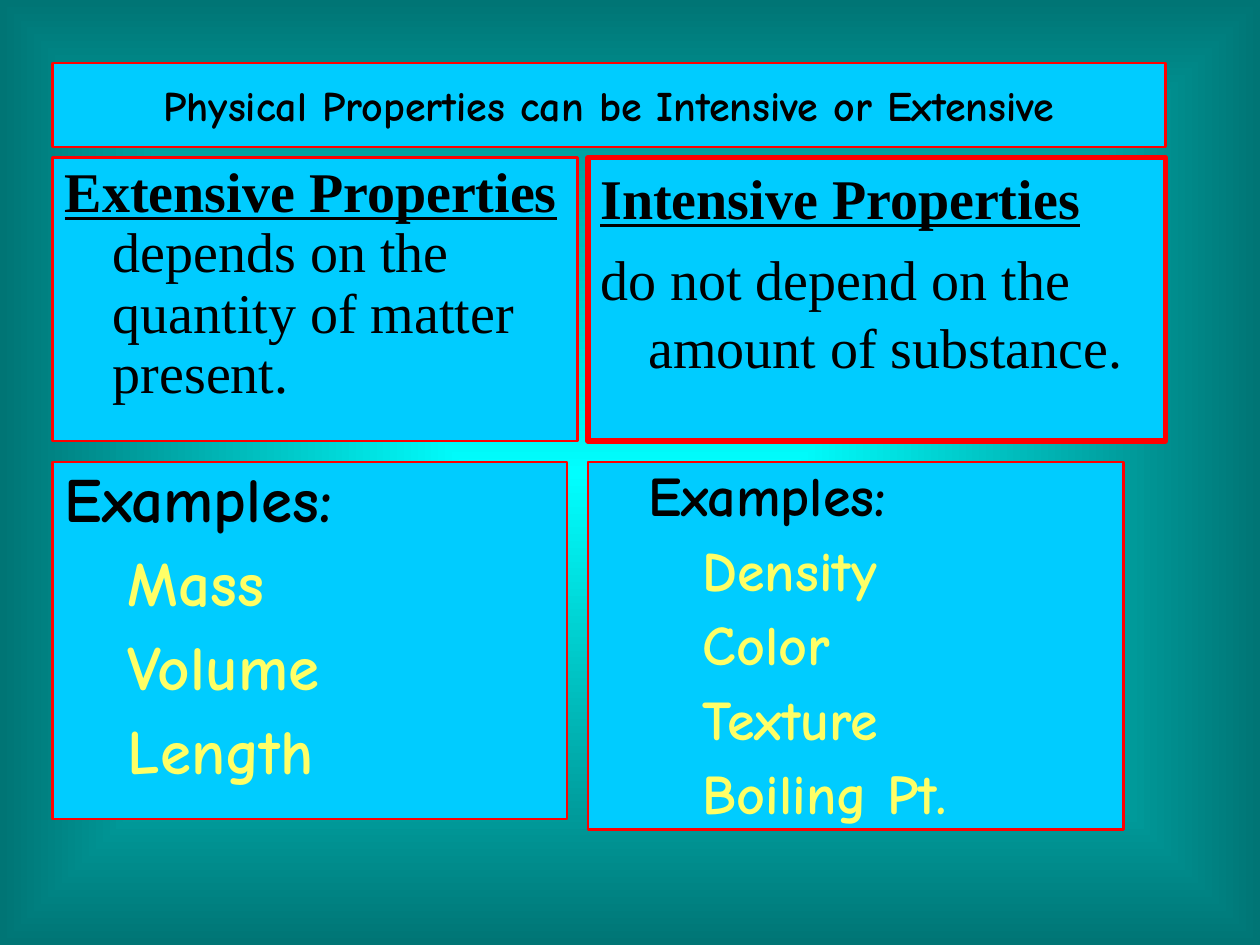
from lxml import etree
from pptx import Presentation
from pptx import util as u
from pptx.dml.color import RGBColor
from pptx.enum import shapes, text
from pptx.oxml.ns import qn

COMIC, SERIF = "Comic Neue", "Times New Roman"
BLACK, YELLOW, RED, SKY = "000000", "FFFF66", "FF0000", "00CCFF"
LEFT, MIDDLE = 5, 56
DEFINITION_ROW, EXAMPLE_ROW = 15, 44
HANGING = (0.38, -0.38)


def rgb(value):
    return RGBColor.from_string(value)


class Board:
    columns, rows = 120, 90

    def __init__(self, deck):
        self.deck = deck
        self.slide = deck.slides.add_slide(deck.slide_layouts[6])

    def background(self, centre, edge):
        fill = self.slide.background.fill
        fill.gradient()
        for stop, color in zip(fill.gradient_stops, (centre, edge)):
            stop.color.rgb = rgb(color)
        gradient = self.slide.element.find(".//" + qn("a:gradFill"))
        for linear in gradient.findall(qn("a:lin")):
            gradient.remove(linear)
        spread = etree.Element(qn("a:path"), {"path": "rect"})
        etree.SubElement(spread, qn("a:fillToRect"), dict.fromkeys("ltrb", "50000"))
        gradient.find(qn("a:gsLst")).addnext(spread)

    def panel(self, column, row, width, height, border=1.5):
        across = self.deck.slide_width / self.columns
        down = self.deck.slide_height / self.rows
        panel = self.slide.shapes.add_shape(
            shapes.MSO_SHAPE.RECTANGLE,
            round(column * across), round(row * down),
            round(width * across), round(height * down))
        panel.shadow.inherit = False
        panel.fill.solid()
        panel.fill.fore_color.rgb = rgb(SKY)
        panel.line.color.rgb = rgb(RED)
        panel.line.width = u.Pt(border)
        frame = panel.text_frame
        frame.word_wrap = True
        frame.vertical_anchor = text.MSO_ANCHOR.TOP
        return frame

    def wording(self, frame, lines, size, font, before=0, spacing=1.0):
        for number, (pieces, color, level, (margin, indent)) in enumerate(lines):
            paragraph = frame.add_paragraph() if number else frame.paragraphs[0]
            paragraph.alignment = text.PP_ALIGN.LEFT
            paragraph.level = level
            paragraph.line_spacing = spacing
            if number:
                paragraph.space_before = u.Pt(before)
            properties = paragraph._p.get_or_add_pPr()
            properties.set("marL", str(u.Inches(margin)))
            properties.set("indent", str(u.Inches(indent)))
            for words, bold, underline in pieces:
                run = paragraph.add_run()
                run.text = words
                run.font.size = u.Pt(size)
                run.font.name = font
                run.font.bold = bold
                run.font.underline = underline
                run.font.color.rgb = rgb(color)

    def title(self, words):
        frame = self.panel(LEFT, 6, 106, 8)
        frame.vertical_anchor = text.MSO_ANCHOR.MIDDLE
        self.wording(frame, [([(words, True, False)], BLACK, 0, (0, 0))], 24, COMIC)
        frame.paragraphs[0].alignment = text.PP_ALIGN.CENTER

    def definition(self, column, width, paragraphs, border=1.5, spacing=1.0):
        frame = self.panel(column, DEFINITION_ROW, width, 27, border)
        lines = [(pieces, BLACK, 0, HANGING) for pieces in paragraphs]
        self.wording(frame, lines, 32, SERIF, 8, spacing)

    def examples(self, column, width, height, names, size, before, heading, item):
        frame = self.panel(column, EXAMPLE_ROW, width, height)
        lines = [([("Examples:", True, False)], BLACK, 0, heading)]
        lines += [([(name, True, False)], YELLOW, 1, item) for name in names]
        self.wording(frame, lines, size, COMIC, before, 0.9)


def main():
    deck = Presentation()
    deck.slide_width, deck.slide_height = u.Inches(10), u.Inches(7.5)
    board = Board(deck)
    board.background("00FFFF", "007575")
    board.title("Physical Properties can be Intensive or Extensive")
    board.definition(MIDDLE, 55, [
        [("Intensive Properties", True, True)],
        [("do not depend on the amount of substance.", False, False)],
    ], border=3)
    board.examples(LEFT, 49, 34, ["Mass", "Volume", "Length"],
                   36, 9, HANGING, (0.81, -0.31))
    board.examples(MIDDLE, 51, 35, ["Density", "Color", "Texture", "Boiling Pt."],
                   32, 8, (0.38, 0), (0.81, 0))
    board.definition(LEFT, 50, [
        [("Extensive Properties", True, True),
         (" depends on the quantity of matter present.", False, False)],
    ], spacing=0.9)
    deck.save("out.pptx")


if __name__ == "__main__":
    main()
